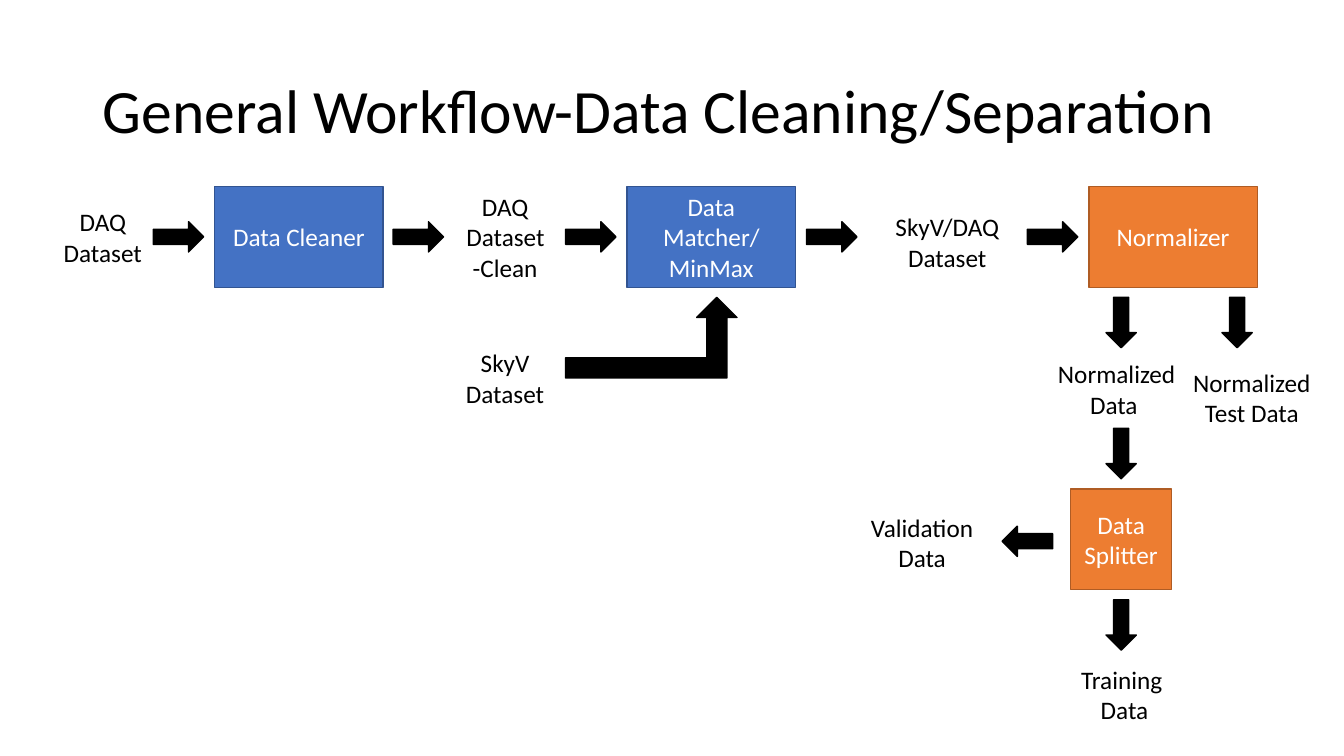
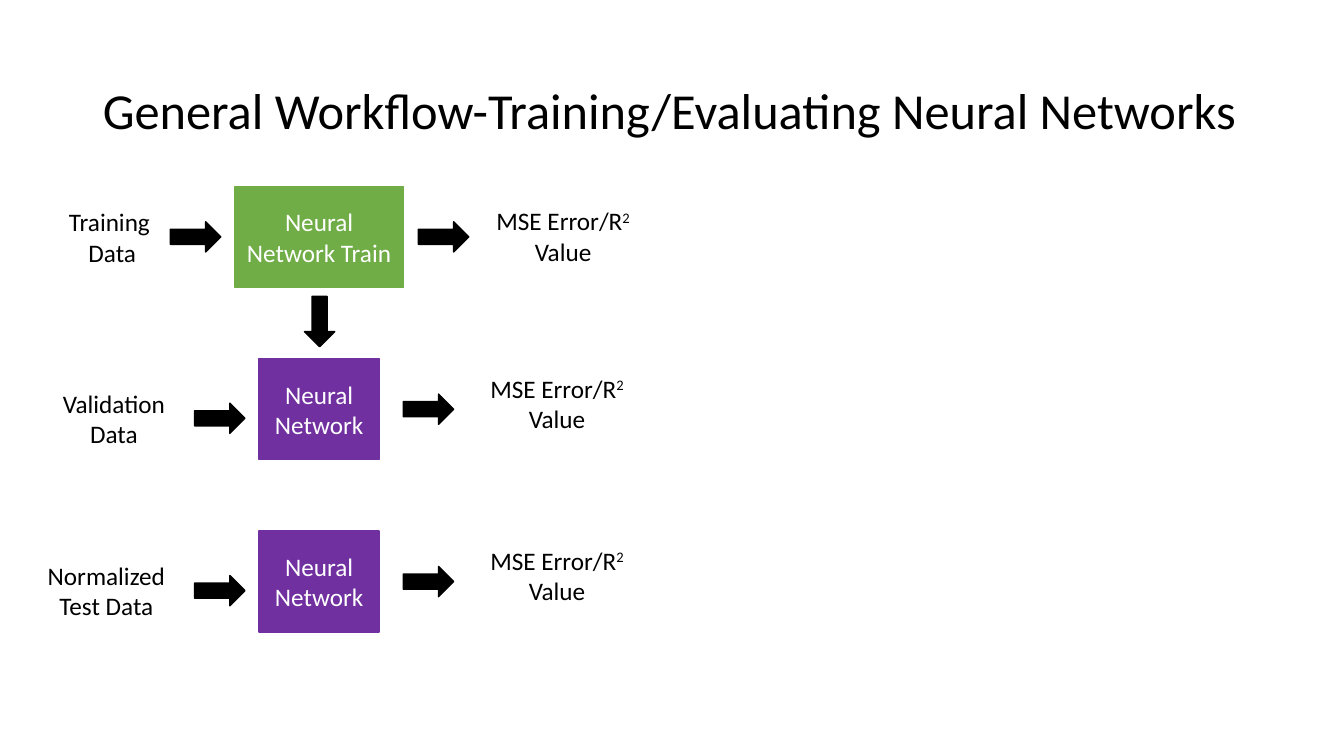
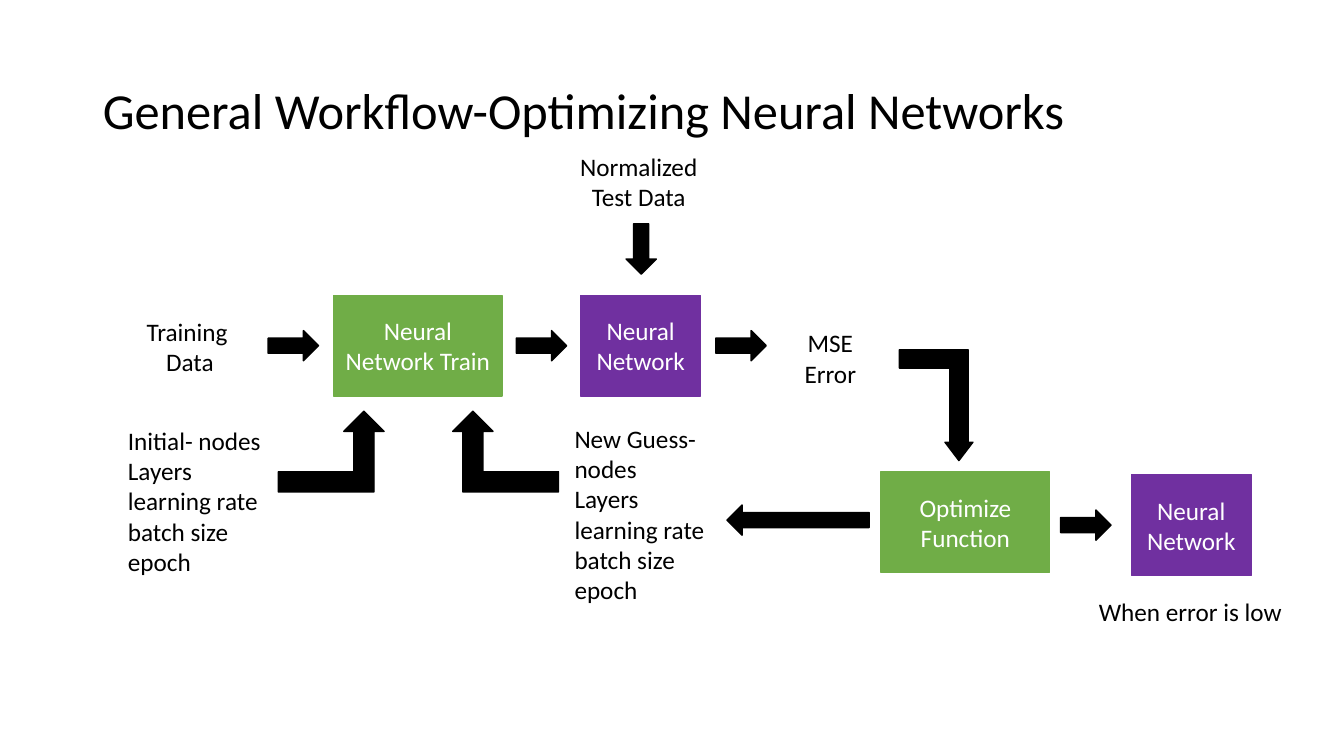
from pptx import Presentation
from pptx.dml.color import RGBColor
from pptx.enum.shapes import MSO_SHAPE
from pptx.enum.text import MSO_ANCHOR, MSO_AUTO_SIZE, PP_ALIGN
from pptx.util import Emu, Pt

COLOURS = {
    "black": "000000",
    "white": "FFFFFF",
    "blue": "4472C4",
    "blue edge": "325491",
    "orange": "ED7D31",
    "orange edge": "AF5C24",
    "green": "70AD47",
    "purple": "7030A0",
}
ARROWS = {
    "right": MSO_SHAPE.RIGHT_ARROW,
    "left": MSO_SHAPE.LEFT_ARROW,
    "down": MSO_SHAPE.DOWN_ARROW,
}
EMU_PER_PX = 9144
FONT = "Calibri"
TITLE_ONLY = 5
BLOCK_WIDTH, NETWORK_WIDTH, BLOCK_HEIGHT = 167, 119, 100
ARROW_LENGTH, ARROW_BREADTH = 50, 30


def px(*lengths):
    """Turn whole px into EMU."""
    return [Emu(length * EMU_PER_PX) for length in lengths]


def colour(name):
    """Return the named colour."""
    return RGBColor.from_string(COLOURS[name])


class Deck:
    """Hold the shared style and the slide being built."""

    def __init__(self):
        """Start an empty wide presentation."""
        self.presentation = Presentation()
        self.presentation.slide_width, self.presentation.slide_height = px(1333, 750)
        self.slide = None

    def add_slide(self, title, size=36):
        """Start a slide with a left-aligned title."""
        layout = self.presentation.slide_layouts[TITLE_ONLY]
        self.slide = self.presentation.slides.add_slide(layout)
        shape = self.slide.shapes.title
        shape.left, shape.top, shape.width, shape.height = px(92, 40, 1150, 145)
        self.set_text(shape, title, "black", PP_ALIGN.LEFT, size=size)
        shape.text_frame.paragraphs[0].line_spacing = 0.9

    def set_text(self, shape, text, ink, align=PP_ALIGN.CENTER, anchor=MSO_ANCHOR.MIDDLE, size=18):
        """Fill a shape with text, raising any part between carets."""
        frame = shape.text_frame
        frame.word_wrap = True
        frame.auto_size = MSO_AUTO_SIZE.NONE
        frame.vertical_anchor = anchor
        for index, line in enumerate(text.split("\n")):
            paragraph = frame.add_paragraph() if index else frame.paragraphs[0]
            paragraph.alignment = align
            paragraph.font.name = FONT
            paragraph.font.size = Pt(size)
            paragraph.font.color.rgb = colour(ink)
            for position, part in enumerate(line.split("^")):
                run = paragraph.add_run()
                run.text = part
                if position % 2:
                    run._r.get_or_add_rPr().set("baseline", "30000")

    def label(self, text, left, top, width=159, height=100):
        """Add a centred label."""
        box = self.slide.shapes.add_textbox(*px(left, top, width, height))
        self.set_text(box, text, "black")

    def note(self, text, left, top, width, height):
        """Add left-aligned lines from the top of a box."""
        box = self.slide.shapes.add_textbox(*px(left, top, width, height))
        self.set_text(box, text, "black", PP_ALIGN.LEFT, MSO_ANCHOR.TOP)

    def solid(self, kind, left, top, width, height, fill, edge):
        """Add a filled preset shape with a thin outline."""
        shape = self.slide.shapes.add_shape(kind, *px(left, top, width, height))
        shape.shadow.inherit = False
        shape.fill.solid()
        shape.fill.fore_color.rgb = colour(fill)
        shape.line.color.rgb = colour(edge)
        shape.line.width = Pt(1)
        return shape

    def block(self, text, left, top, fill, width=BLOCK_WIDTH, edge=None):
        """Add a processing step."""
        shape = self.solid(MSO_SHAPE.RECTANGLE, left, top, width, BLOCK_HEIGHT, fill, edge or fill)
        self.set_text(shape, text, "white")

    def trainer(self, left, top):
        """Add a training step."""
        self.block("Neural Network Train", left, top, "green")

    def network(self, left, top):
        """Add a trained network."""
        self.block("Neural Network", left, top, "purple", NETWORK_WIDTH)

    def arrow(self, left, top, direction="right", length=ARROW_LENGTH):
        """Add a straight block arrow."""
        size = (length, ARROW_BREADTH)
        if direction == "down":
            size = size[::-1]
        self.solid(ARROWS[direction], left, top, *size, "black", "black")

    def bent_arrow(self, left, top, width, height, flip=None, adjustments=()):
        """Add a block arrow with a corner, mirrored on request."""
        shape = self.solid(MSO_SHAPE.BENT_UP_ARROW, left, top, width, height, "black", "black")
        for index, value in enumerate(adjustments):
            shape.adjustments[index] = value
        if flip:
            shape._element.spPr.xfrm.set(flip, "1")


def build_cleaning(deck):
    """Show how the datasets are cleaned, matched and split."""
    deck.add_slide("General Workflow-Data Cleaning/Separation", 44)
    for text, left, fill in (
        ("Data Cleaner", 213, "blue"),
        ("Data Matcher/ MinMax", 622, "blue"),
        ("Normalizer", 1080, "orange"),
    ):
        deck.block(text, left, 185, fill, edge=f"{fill} edge")
    deck.block("Data Splitter", 1062, 485, "orange", 100, "orange edge")
    for text, left, top in (
        ("DAQ Dataset", 52, 185),
        ("DAQ Dataset-Clean", 451, 185),
        ("SkyV Dataset", 451, 325),
    ):
        deck.label(text, left, top, 100)
    for text, left, top in (
        ("SkyV/DAQ Dataset", 860, 190),
        ("Normalized Data ", 1028, 336),
        ("Normalized Test Data", 1162, 344),
        ("Validation Data", 835, 488),
        ("Training\n Data", 1033, 639),
    ):
        deck.label(text, left, top)
    for left in (152, 390, 561, 800, 1019):
        deck.arrow(left, 220)
    for left, top in ((1097, 295), (1212, 295), (1097, 425), (1097, 595)):
        deck.arrow(left, top, "down")
    deck.arrow(994, 522, "left")
    deck.bent_arrow(561, 295, 170, 80)


def build_training(deck):
    """Show training followed by two evaluations."""
    deck.add_slide("General Workflow-Training/Evaluating Neural Networks")
    error = "MSE Error/R^2^ Value"
    deck.label("Training\n Data", 29, 185)
    deck.arrow(169, 220)
    deck.trainer(233, 185)
    deck.arrow(415, 220)
    deck.label(error, 479, 184)
    deck.arrow(302, 294, "down")
    for text, left, width, top in (
        ("Validation Data", 45, 136, 356),
        ("Normalized Test Data", 29, 153, 527),
    ):
        deck.label(text, left, top + 9, width)
        deck.arrow(193, top + 44)
        deck.network(257, top)
        deck.arrow(400, top + 35)
        deck.label(error, 473, top - 6)


def build_optimizing(deck):
    """Show the loop that tunes the network."""
    deck.add_slide("General Workflow-Optimizing Neural Networks")
    settings = "Layers\nlearning rate\nbatch size\nepoch"
    deck.label("Normalized Test Data", 557, 130, 153)
    deck.arrow(621, 222, "down")
    deck.label("Training\n Data", 106, 298, 159, 91)
    deck.trainer(331, 293)
    deck.network(576, 293)
    for left in (266, 512, 710):
        deck.arrow(left, 328)
    deck.label("MSE Error", 769, 305, 109)
    deck.bent_arrow(892, 347, 73, 110, "flipV", (0.25, 0.19, 0.25))
    deck.block("Optimize Function", 874, 468, "green")
    deck.arrow(1052, 506)
    deck.network(1122, 471)
    deck.note("When error is low", 1080, 587, 204, 40)
    deck.arrow(721, 501, "left", 141)
    deck.note(f"New Guess- nodes\n{settings}", 560, 415, 153, 192)
    deck.bent_arrow(449, 408, 105, 80, "flipH")
    deck.note(f"Initial- nodes\n{settings}", 117, 417, 153, 162)
    deck.bent_arrow(276, 408, 105, 80)


def main():
    """Build and save the presentation."""
    deck = Deck()
    build_cleaning(deck)
    build_training(deck)
    build_optimizing(deck)
    deck.presentation.save("out.pptx")


if __name__ == "__main__":
    main()
